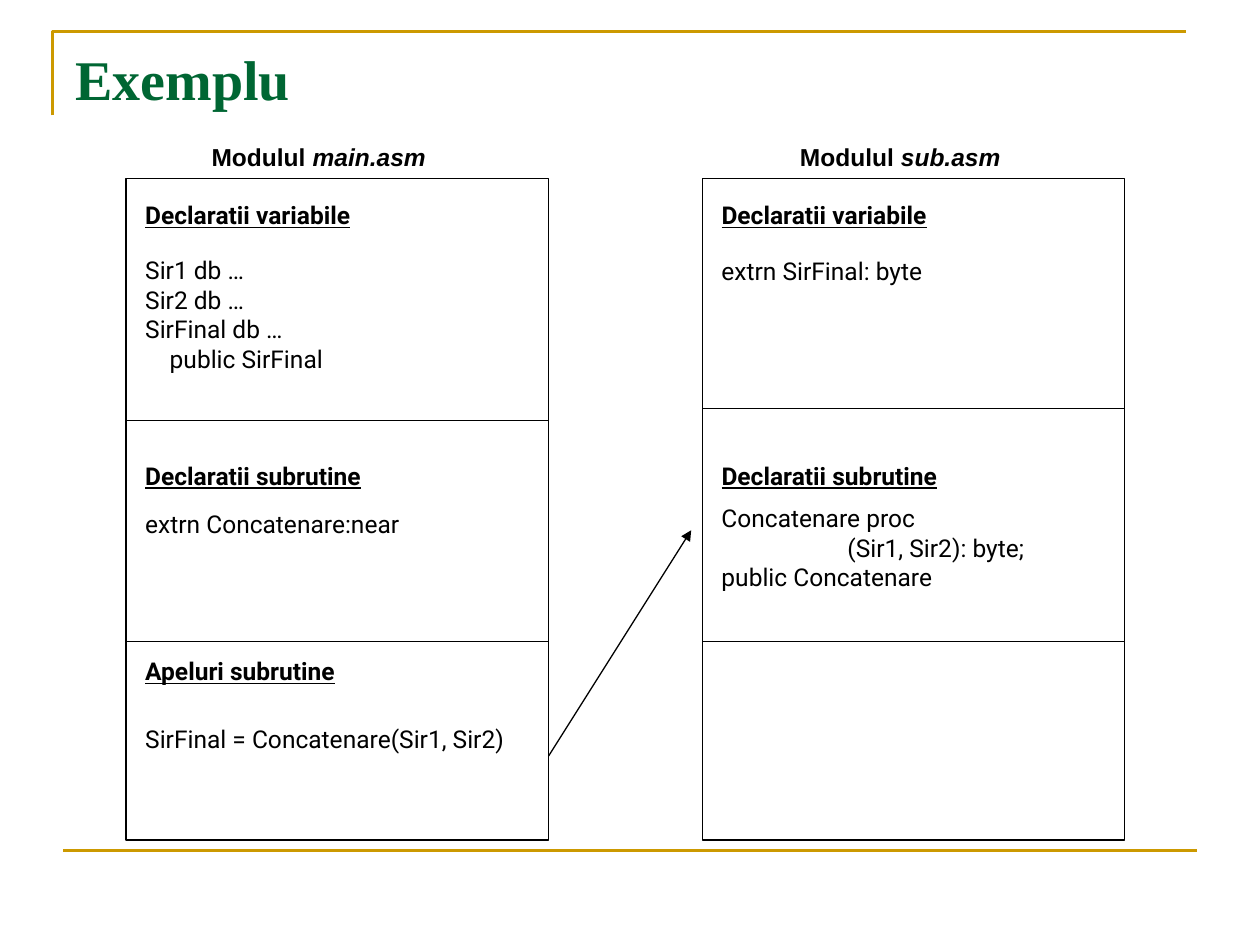
import pptx
import pptx.util
import pptx.dml.color
import pptx.enum.shapes
import pptx.oxml
import pptx.oxml.ns

Pt = pptx.util.Pt
RGBColor = pptx.dml.color.RGBColor
BLACK = RGBColor(0x00, 0x00, 0x00)
WHITE = RGBColor(0xFF, 0xFF, 0xFF)
GOLD = RGBColor(0xCC, 0x99, 0x00)
GREEN = RGBColor(0x00, 0x66, 0x33)


class SlideBuilder:
    """Holds the slide and its style, and draws each kind of element."""

    code_font, label_font, title_font = "Roboto", "Arial", "Times New Roman"
    body_size, thin, thick = 14, 0.74, 1.5

    def __init__(self, slide):
        """Keep the slide to draw on."""
        self.slide = slide

    def box(self, left, top, width, height):
        """Draw a white rectangle with a thin black outline."""
        rect = self.slide.shapes.add_shape(
            pptx.enum.shapes.MSO_SHAPE.RECTANGLE,
            Pt(left), Pt(top), Pt(width), Pt(height))
        rect.shadow.inherit = False
        rect.fill.solid()
        rect.fill.fore_color.rgb = WHITE
        rect.line.color.rgb = BLACK
        rect.line.width = Pt(self.thin)

    def line(self, start, end, color=BLACK, weight=thin, arrow=False):
        """Draw a straight line, with an arrowhead at its end if asked."""
        rule = self.slide.shapes.add_connector(
            pptx.enum.shapes.MSO_CONNECTOR.STRAIGHT,
            *(Pt(value) for value in start + end))
        rule.line.color.rgb = color
        rule.line.width = Pt(weight)
        if arrow:
            head = pptx.oxml.parse_xml(
                f'<a:tailEnd {pptx.oxml.ns.nsdecls("a")} type="triangle"/>')
            rule.line._get_or_add_ln().append(head)
        rule._element.spPr.append(pptx.oxml.parse_xml(
            f'<a:effectLst {pptx.oxml.ns.nsdecls("a")}/>'))

    def corner(self, points):
        """Draw the open gold outline around the title."""
        first, *rest = [(Pt(x), Pt(y)) for x, y in points]
        builder = self.slide.shapes.build_freeform(*first)
        builder.add_line_segments(rest, close=False)
        outline = builder.convert_to_shape()
        outline.shadow.inherit = False
        outline.fill.background()
        outline.line.color.rgb = GOLD
        outline.line.width = Pt(self.thick)

    def text(self, area, paragraphs, font=code_font, size=body_size,
             color=BLACK, bold=False, underline=False, inset=(0, 0)):
        """Write paragraphs, each an (indent, [(text, italic), ...]) pair."""
        frame = self.slide.shapes.add_textbox(
            *(Pt(value) for value in area)).text_frame
        frame.word_wrap = True
        frame.margin_left = frame.margin_right = Pt(inset[0])
        frame.margin_top = frame.margin_bottom = Pt(inset[1])
        for index, (indent, runs) in enumerate(paragraphs):
            paragraph = frame.add_paragraph() if index else frame.paragraphs[0]
            if indent:
                paragraph._p.get_or_add_pPr().set("marL", str(Pt(indent)))
            for words, italic in runs:
                run = paragraph.add_run()
                run.text = words
                run.font.name = font
                run.font.size = Pt(size)
                run.font.color.rgb = color
                run.font.bold = bold
                run.font.italic = italic
                run.font.underline = underline

    def code(self, left, top, width, height, lines):
        """Write (indent, text) lines of code."""
        self.text((left, top, width, height),
                  [(indent, [(words, False)]) for indent, words in lines])

    def heading(self, left, top, words):
        """Write an underlined section heading."""
        self.text((left, top, 142.5, 23), [(0, [(words, False)])],
                  bold=True, underline=True)


MODULE_TOP, MODULE_WIDTH, MODULE_HEIGHT = 102, 241.5, 378
TEXT_INSET = 11
VARIABLES, SUBROUTINES, CALLS = (
    ("Declaratii variabile", 114.5),
    ("Declaratii subrutine", 263.5),
    ("Apeluri subrutine", 375))

# Each module: left, label left, file, divider heights, headings, code blocks.
MODULES = [
    (72, 113.8, "main.asm", (240.2, 366.5), (VARIABLES, SUBROUTINES, CALLS), [
        (146, 91.5, [(0, "Sir1 db …"), (0, "Sir2 db …"),
                     (0, "SirFinal db …"), (14, "public SirFinal")]),
        (291, 91.5, [(0, "extrn Concatenare:near")]),
        (414, 63.5, [(0, "SirFinal = Concatenare(Sir1, Sir2)")]),
    ]),
    (401.3, 450, "sub.asm", (233.3, 366.5), (VARIABLES, SUBROUTINES), [
        (146, 78.5, [(0, "extrn SirFinal: byte")]),
        (287.5, 78.5, [(0, "Concatenare proc"), (72, "(Sir1, Sir2): byte;"),
                       (0, "public Concatenare")]),
    ]),
]

deck = pptx.Presentation()
deck.slide_width, deck.slide_height = Pt(720), Pt(540)
example = SlideBuilder(deck.slides.add_slide(deck.slide_layouts[6]))

example.corner([(30, 66), (30, 18), (678, 18)])
example.line((36, 486), (684, 486), GOLD, example.thick)
example.text((36, 21.6, 648, 90), [(0, [("Exemplu", False)])],
             font=example.title_font, size=32, color=GREEN, bold=True,
             inset=(7.2, 3.6))

for left, label_left, file_name, dividers, headings, blocks in MODULES:
    example.box(left, MODULE_TOP, MODULE_WIDTH, MODULE_HEIGHT)
    for y in dividers:
        example.line((left, y), (left + MODULE_WIDTH, y))
    for words, top in headings:
        example.heading(left + TEXT_INSET, top, words)
    for top, height, lines in blocks:
        example.code(left + TEXT_INSET, top, MODULE_WIDTH - TEXT_INSET,
                     height, lines)
    example.text((label_left, 77.8, 204, 24.2),
                 [(0, [("Modulul ", False), (file_name, True)])],
                 font=example.label_font, bold=True, inset=(7.2, 3.6))

example.line((313.5, 432), (395, 303), arrow=True)

deck.save("out.pptx")
